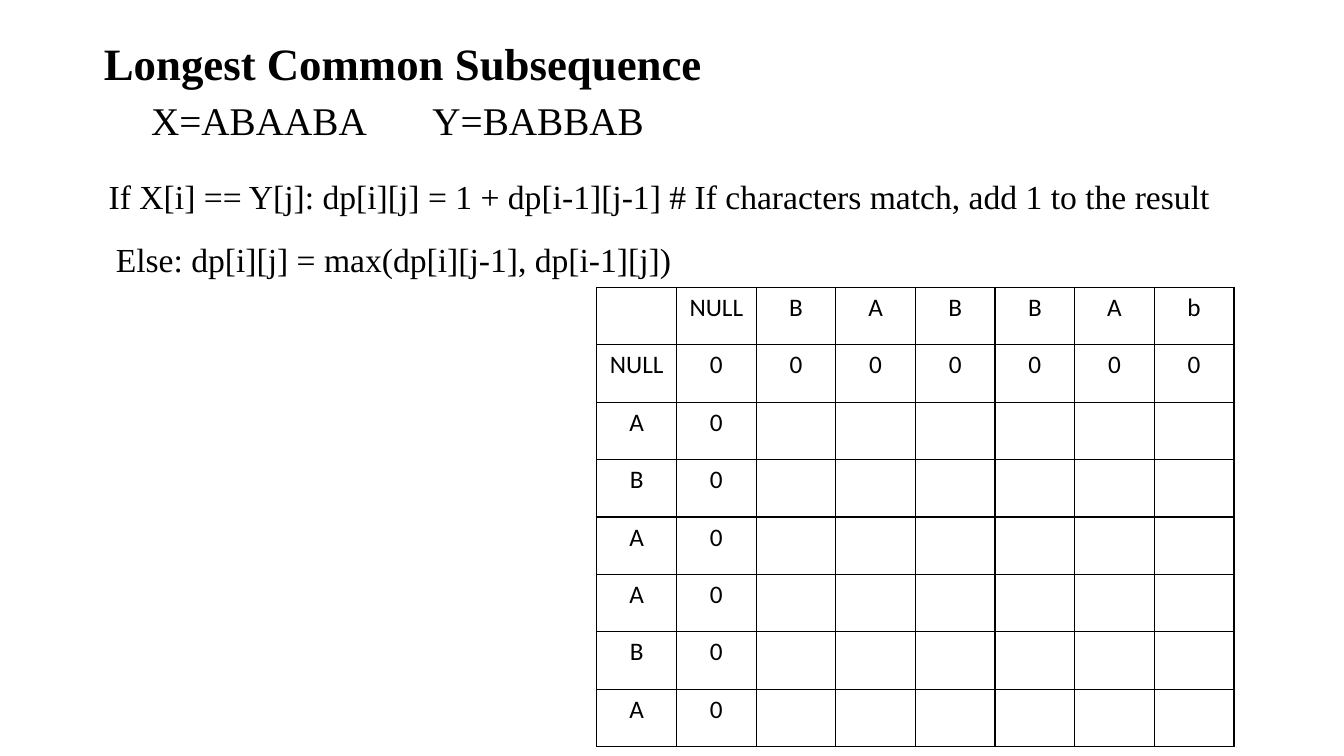
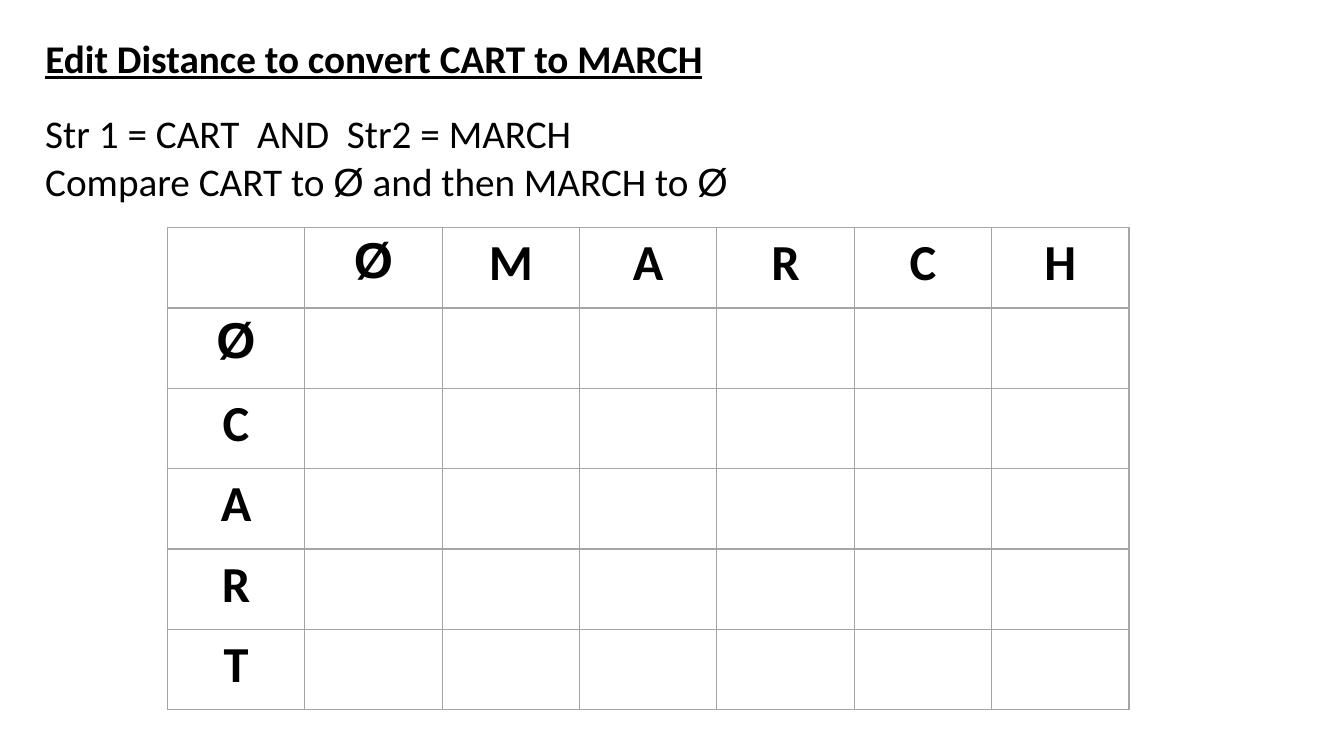
from dataclasses import dataclass
from itertools import groupby

from lxml.etree import SubElement
from pptx import Presentation
from pptx.dml.color import RGBColor
from pptx.enum.text import MSO_ANCHOR, MSO_AUTO_SIZE, PP_ALIGN
from pptx.oxml.ns import qn
from pptx.util import Pt


@dataclass(frozen=True)
class Theme:
    ink: str = "000000"
    grid: str = "A5A5A5"
    serif: str = "Times New Roman"
    sans: str = "Calibri"
    symbol: str = "Arial"
    title: int = 32
    lead: int = 28
    rule: int = 24
    letter: int = 36
    value: int = 18


T = Theme()
EMPTY_SET = "Ø"
SLIDE_SIZE = (1333, 750)

LCS_COLS = ["NULL", *"BABBAb"]
LCS_ROWS = ["NULL", *"ABAABA"]
EDIT_COLS = [EMPTY_SET, *"MARCH"]
EDIT_ROWS = [EMPTY_SET, *"CART"]

SLIDES = [
    {
        "title": ("Longest Common Subsequence", (93, 30, 628, 64),
                  {"name": T.serif, "size": T.title, "bold": True}),
        "texts": [
            (["X=ABAABA\tY=BABBAB"], (140, 91, 581, 57),
             {"name": T.serif, "size": T.lead}, 279),
            (["If X[i] == Y[j]: dp[i][j] = 1 + dp[i-1][j-1] "
              "# If characters match, add 1 to the result"],
             (98, 170, 1126, 50), {"name": T.serif, "size": T.rule}, None),
            (["Else: dp[i][j] = max(dp[i][j-1], dp[i-1][j])"],
             (105, 232, 637, 50), {"name": T.serif, "size": T.rule}, None),
        ],
        "table": {
            "cells": [["", *LCS_COLS], ["NULL"] + ["0"] * len(LCS_COLS)]
            + [[c, "0"] + [""] * (len(LCS_COLS) - 1) for c in LCS_ROWS[1:]],
            "box": (592, 285, 632, 456),
            "font": {"name": T.sans, "size": T.value},
            "line": T.ink, "header_line": 1,
        },
    },
    {
        "title": ("Edit Distance to convert CART to MARCH", (35, 29, 1271, 57),
                  {"name": T.sans, "size": T.lead, "bold": True, "underline": True}),
        "texts": [
            (["Str 1 = CART  AND  Str2 = MARCH",
              "Compare CART to Ø and then MARCH to Ø"],
             (35, 104, 1271, 103), {"name": T.sans, "size": T.lead}, None),
        ],
        "table": {
            "cells": [["", *EDIT_COLS]]
            + [[c] + [""] * len(EDIT_COLS) for c in EDIT_ROWS],
            "box": (166, 226, 954, 478),
            "font": {"name": T.sans, "size": T.letter, "bold": True},
            "line": T.grid, "header_line": 2,
        },
    },
]


def px(n):
    return n * 9144


def emu(box):
    return [px(n) for n in box]


def write(p, text, font, align=PP_ALIGN.LEFT):
    """Fill a paragraph, setting each empty-set sign in the symbol font."""
    p.alignment = align
    for is_symbol, chars in groupby(text, key=lambda c: c == EMPTY_SET):
        r = p.add_run()
        r.text = "".join(chars)
        values = {**font, "size": Pt(font["size"])}
        if is_symbol:
            values["name"] = T.symbol
        for key, value in values.items():
            setattr(r.font, key, value)
        r.font.color.rgb = RGBColor.from_string(T.ink)


def fill_frame(tf, lines, font, tab=None):
    for key, value in {"word_wrap": True, "auto_size": MSO_AUTO_SIZE.NONE,
                       "vertical_anchor": MSO_ANCHOR.TOP}.items():
        setattr(tf, key, value)
    for i, line in enumerate(lines):
        p = tf.add_paragraph() if i else tf.paragraphs[0]
        write(p, line, font)
        if tab:
            tabs = SubElement(p._p.get_or_add_pPr(), qn("a:tabLst"))
            SubElement(tabs, qn("a:tab"), pos=str(px(tab)), algn="l")


def add_title(s, text, box, font):
    sp = s.shapes.title
    sp.left, sp.top, sp.width, sp.height = emu(box)
    fill_frame(sp.text_frame, [text], font)


def add_text(s, lines, box, font, tab):
    fill_frame(s.shapes.add_textbox(*emu(box)).text_frame, lines, font, tab)


def set_borders(cell, color, widths):
    tc_pr = cell._tc.get_or_add_tcPr()
    for side, width in widths.items():
        ln = SubElement(tc_pr, qn(f"a:ln{side}"), w=str(Pt(width)))
        fill = SubElement(ln, qn("a:solidFill"))
        SubElement(fill, qn("a:srgbClr"), val=color)


def add_grid(s, cells, box, font, line, header_line):
    table = s.shapes.add_table(len(cells), len(cells[0]), *emu(box)).table
    table.first_row = table.horz_banding = False
    for i, row in enumerate(cells):
        widths = {"L": 1, "R": 1, "T": header_line if i == 1 else 1,
                  "B": header_line if i == 0 else 1}
        for j, text in enumerate(row):
            cell = table.cell(i, j)
            set_borders(cell, line, widths)
            cell.fill.background()
            write(cell.text_frame.paragraphs[0], text, font, PP_ALIGN.CENTER)


def main():
    prs = Presentation()
    prs.slide_width, prs.slide_height = emu(SLIDE_SIZE)
    title_only = prs.slide_layouts.get_by_name("Title Only")
    for content in SLIDES:
        s = prs.slides.add_slide(title_only)
        add_grid(s, **content["table"])
        add_title(s, *content["title"])
        for text in content["texts"]:
            add_text(s, *text)
    prs.save("out.pptx")


if __name__ == "__main__":
    main()
